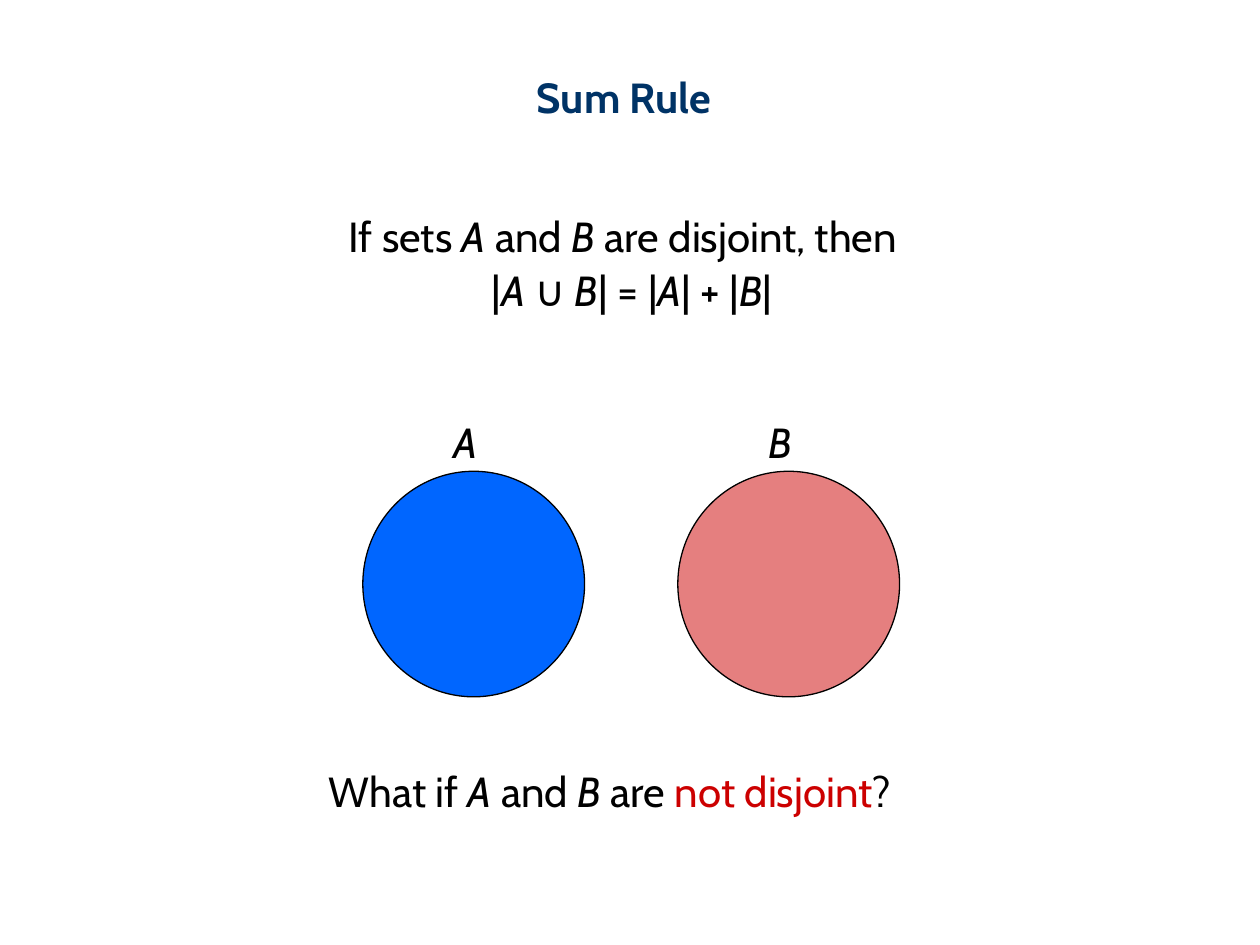
from lxml import etree
from pptx import Presentation
from pptx.dml.color import RGBColor
from pptx.enum.shapes import MSO_SHAPE
from pptx.enum.text import MSO_ANCHOR, MSO_AUTO_SIZE, PP_ALIGN
from pptx.oxml.ns import qn
from pptx.util import Inches, Pt

LEFT, CENTER = PP_ALIGN.LEFT, PP_ALIGN.CENTER
TOP = MSO_ANCHOR.TOP
GROW, FIXED = MSO_AUTO_SIZE.SHAPE_TO_FIT_TEXT, MSO_AUTO_SIZE.NONE
OVAL = MSO_SHAPE.OVAL

BLACK = RGBColor(0x00, 0x00, 0x00)
NAVY = RGBColor(0x00, 0x33, 0x66)
BLUE = RGBColor(0x00, 0x66, 0xFF)
RED = RGBColor(0xCC, 0x00, 0x00)

FONT, SIZE = "Cabin", 24
ITALIC = {"italic": True}

# Content: each line is a list of (text, format) spans
TITLE = [[("Sum Rule", {"bold": True, "color": NAVY})]]
RULE = [
    [("If sets ", {}), ("A", ITALIC), (" and ", {}), ("B", ITALIC),
     (" are disjoint, then ", {})],
    [(" |", {}), ("A ", ITALIC), ("∪ ", {}), ("B", ITALIC), ("| = |", {}),
     ("A", ITALIC), ("| + |", {}), ("B", ITALIC), ("|", {})],
]
QUESTION = [
    [("What if", {}), (" A", ITALIC), (" and ", {}), ("B", ITALIC),
     (" are ", {}), ("not disjoint", {"color": RED}), ("?", {})],
]
SETS = [("A", BLUE, 100), ("B", RED, 50)]  # name, fill, opacity in percent

# Grid of the two sets
SET_LEFT, SET_STEP, SET_TOP = 2.88, 2.5, 3.74
SET_WIDTH, SET_HEIGHT = 1.76, 1.79
LABEL_OFFSET, LABEL_TOP, LABEL_WIDTH, LINE_BOX = 0.62, 3.26, 0.38, 0.5


def write(box, lines, align=LEFT, wrap=True, auto_size=GROW, spacing=None):
    frame = box.text_frame
    frame.word_wrap, frame.auto_size = wrap, auto_size
    frame.vertical_anchor = TOP
    for index, line in enumerate(lines):
        para = frame.add_paragraph() if index else frame.paragraphs[0]
        para.alignment = align
        para.line_spacing = spacing
        para.space_before = Pt(0.2 * SIZE if index else 0)
        for text, style in line:
            span = para.add_run()
            span.text = text
            span.font.name, span.font.size = FONT, Pt(SIZE)
            span.font.bold = style.get("bold", False)
            span.font.italic = style.get("italic", False)
            span.font.color.rgb = style.get("color", BLACK)


def add_text(page, area, lines, **options):
    box = page.shapes.add_textbox(*map(Inches, area))
    write(box, lines, **options)
    return box


def add_set(page, left, color, opacity):
    circle = page.shapes.add_shape(
        OVAL, *map(Inches, (left, SET_TOP, SET_WIDTH, SET_HEIGHT)))
    circle.shadow.inherit = False
    circle.fill.solid()
    circle.fill.fore_color.rgb = color
    circle.line.color.rgb = BLACK
    circle.line.width = Pt(0.75)
    if opacity < 100:
        fill = circle.fill._xPr.find(qn("a:solidFill"))
        etree.SubElement(fill[0], qn("a:alpha"), val=str(opacity * 1000))


def main():
    deck = Presentation()
    deck.slide_width, deck.slide_height = Inches(10), Inches(7.5)
    page = deck.slides.add_slide(deck.slide_layouts[5])

    # Title
    title = page.shapes.title
    title.left, title.top, title.width, title.height = map(
        Inches, (4.16, 0.52, 1.7, LINE_BOX))
    write(title, TITLE, wrap=False)

    # Rule
    add_text(page, (1.05, 1.67, 7.86, 1.92), RULE,
             align=CENTER, auto_size=FIXED, spacing=0.9)

    # Disjoint sets with their labels
    for column, (name, color, opacity) in enumerate(SETS):
        left = SET_LEFT + column * SET_STEP
        add_set(page, left, color, opacity)
        add_text(page, (left + LABEL_OFFSET, LABEL_TOP, LABEL_WIDTH, LINE_BOX),
                 [[(name, ITALIC)]], wrap=False)

    # Closing question
    question = add_text(page, (2.01, 6.03, 6, LINE_BOX), QUESTION)
    question.text_frame.margin_left = Inches(0.6)

    deck.save("out.pptx")


if __name__ == "__main__":
    main()
